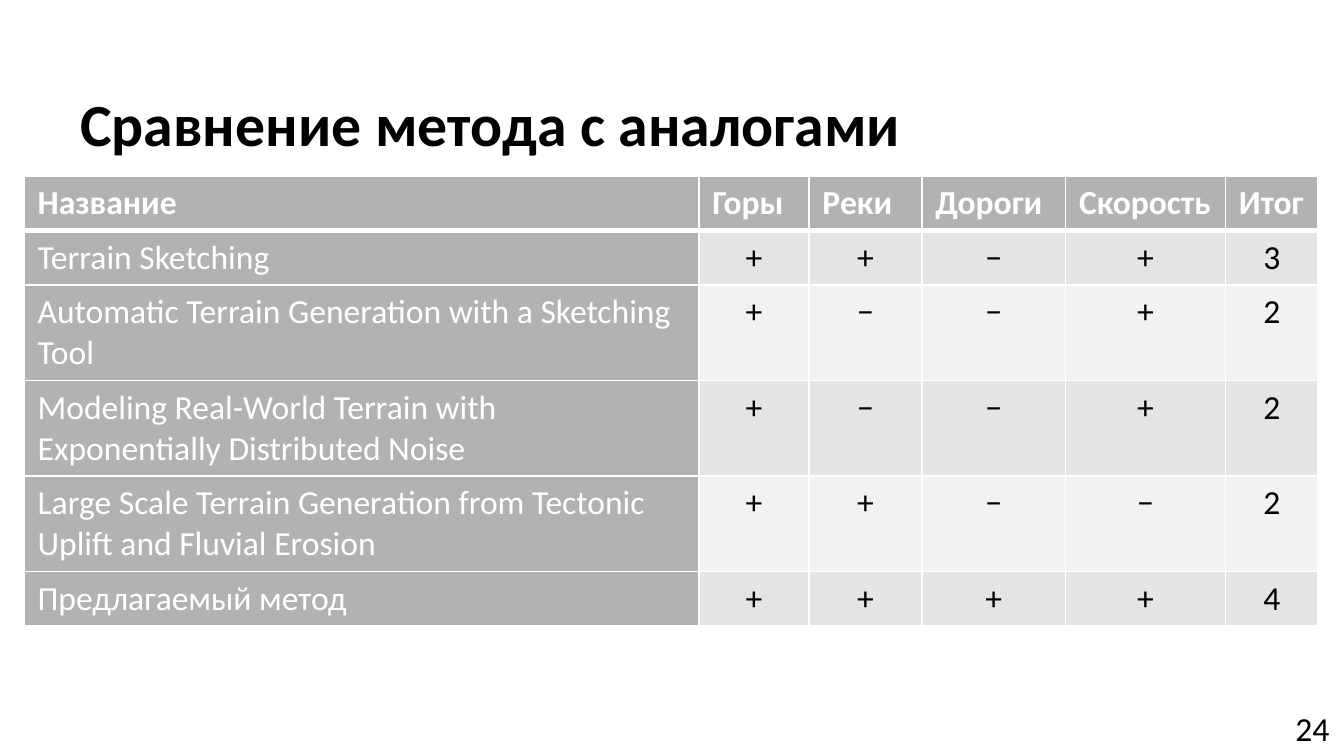
from lxml import etree
from pptx import Presentation
from pptx.dml.color import RGBColor
from pptx.enum import text
from pptx.oxml import ns
from pptx.util import Inches, Pt

HEADINGS = ["Название", "Горы", "Реки", "Дороги", "Скорость", "Итог"]
METHODS = [
    ("Terrain Sketching", "++−+3"),
    ("Automatic Terrain Generation with a Sketching Tool", "+−−+2"),
    ("Modeling Real-World Terrain with Exponentially Distributed Noise", "+−−+2"),
    ("Large Scale Terrain Generation from Tectonic Uplift and Fluvial Erosion", "++−−2"),
    ("Предлагаемый метод", "++++4"),
]
COLUMN_WIDTHS = [5.02, 0.82, 0.84, 1.07, 1.19, 0.69]
ROW_HEIGHTS = [0.4, 0.4, 0.71, 0.71, 0.71, 0.4]
WHITE, BLACK, GRAY = "FFFFFF", "000000", "B2B2B2"
BANDS = ["E4E4E4", "F2F2F2"]


def color(value):
    return RGBColor.from_string(value)


def write(frame, words, size, ink, bold=False, align=text.PP_ALIGN.LEFT):
    frame.text = words
    para = frame.paragraphs[0]
    para.alignment = align
    font = para.runs[0].font
    font.name, font.size, font.bold = "Calibri", Pt(size), bold
    font.color.rgb = color(ink)


def add_label(page, box, words, size, bold=False, anchor=text.MSO_ANCHOR.TOP):
    frame = page.shapes.add_textbox(*map(Inches, box)).text_frame
    frame.word_wrap = True
    frame.vertical_anchor = anchor
    write(frame, words, size, BLACK, bold)


def set_borders(cell, bottom_width):
    properties = cell._tc.get_or_add_tcPr()
    for side, width in zip("LRTB", (1, 1, 1, bottom_width)):
        line = etree.SubElement(properties, ns.qn(f"a:ln{side}"), w=str(Pt(width)))
        fill = etree.SubElement(line, ns.qn("a:solidFill"))
        etree.SubElement(fill, ns.qn("a:srgbClr"), val=WHITE)


def add_comparison(page, box):
    rows = [HEADINGS] + [[name, *marks] for name, marks in METHODS]
    table = page.shapes.add_table(len(rows), len(HEADINGS), *map(Inches, box)).table
    for column, width in zip(table.columns, COLUMN_WIDTHS):
        column.width = Inches(width)
    for row, height in zip(table.rows, ROW_HEIGHTS):
        row.height = Inches(height)
    for i, row in enumerate(rows):
        for j, words in enumerate(row):
            cell = table.cell(i, j)
            is_heading = i == 0 or j == 0
            set_borders(cell, 3 if i == 0 else 1)
            cell.fill.solid()
            cell.fill.fore_color.rgb = color(GRAY if is_heading else BANDS[(i - 1) % 2])
            write(cell.text_frame, words, 18, WHITE if is_heading else BLACK, i == 0,
                  text.PP_ALIGN.LEFT if is_heading else text.PP_ALIGN.CENTER)


def main():
    deck = Presentation()
    deck.slide_width = Inches(10)
    deck.slide_height = deck.slide_width * 9 // 16
    page = deck.slides.add_slide(deck.slide_layouts[6])
    add_comparison(page, (0.18, 1.31, sum(COLUMN_WIDTHS), sum(ROW_HEIGHTS)))
    add_label(page, (9.54, 5.22, 0.55, 0.4), "24", 18)
    add_label(page, (0.5, 0.55, 7.84, 0.68), "Сравнение метода с аналогами", 32, True,
              text.MSO_ANCHOR.BOTTOM)
    deck.save("out.pptx")


if __name__ == "__main__":
    main()
